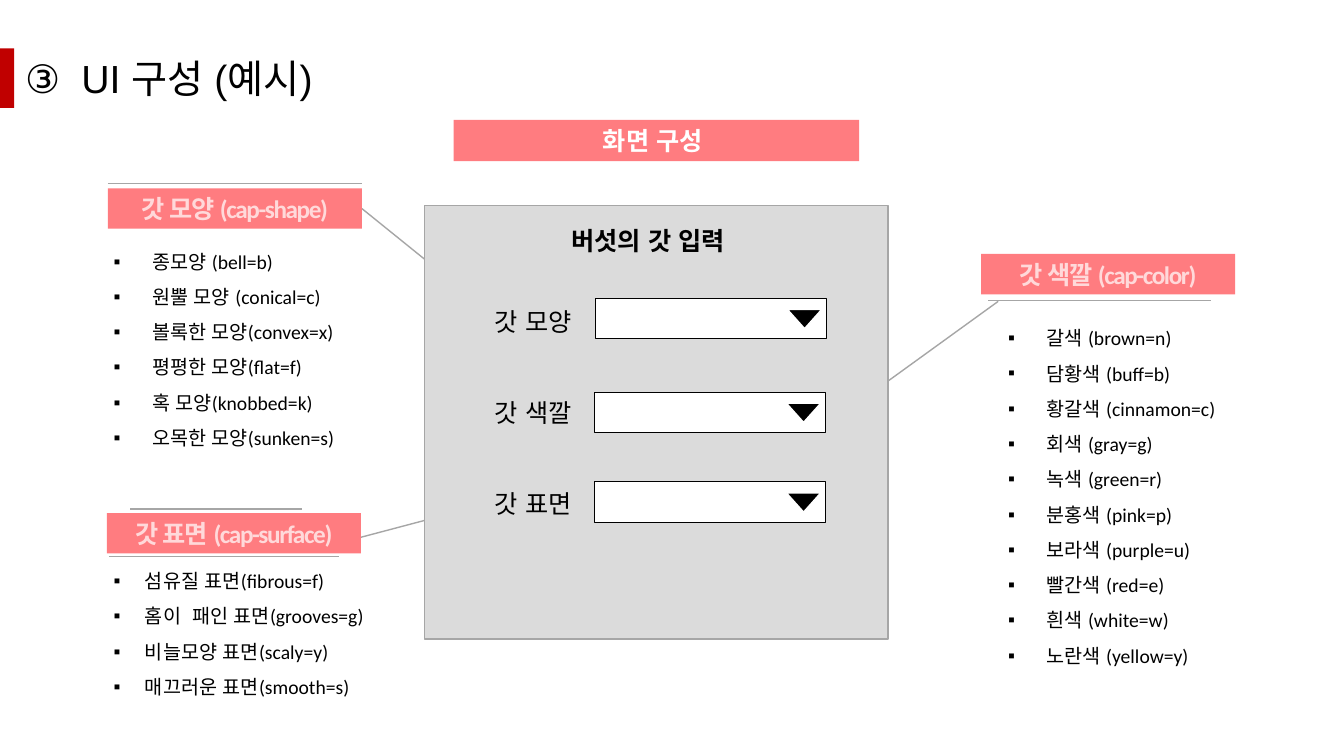
import pptx
import pptx.util
import pptx.dml.color
import pptx.enum.lang
import pptx.enum.shapes
import pptx.enum.text
from lxml import etree

Inches, Pt = pptx.util.Inches, pptx.util.Pt
RGBColor = pptx.dml.color.RGBColor
Shape = pptx.enum.shapes.MSO_SHAPE
Align = pptx.enum.text.PP_ALIGN
Anchor = pptx.enum.text.MSO_ANCHOR
KOREAN = pptx.enum.lang.MSO_LANGUAGE_ID.KOREAN

RED = RGBColor(0xC0, 0x00, 0x00)
PINK = RGBColor(0xFF, 0x7C, 0x80)
PALE_PINK = RGBColor(0xFF, 0xD9, 0xDA)
GRAY = RGBColor(0xA6, 0xA6, 0xA6)
PANEL = RGBColor(0xDB, 0xDB, 0xDB)
BLACK = RGBColor(0, 0, 0)
WHITE = RGBColor(0xFF, 0xFF, 0xFF)

# Content: heading, heading corner, list corner, indent, options
GROUPS = [
    ("갓 모양 (cap-shape)", (1.07, 1.87), (1.03, 2.31), 0.38,
     ["종모양 (bell=b) ", "원뿔 모양 (conical=c)", "볼록한 모양(convex=x)",
      "평평한 모양(flat=f)", "혹 모양(knobbed=k)", "오목한 모양(sunken=s)"]),
    ("갓 표면 (cap-surface)", (1.06, 5.09), (1.03, 5.48), 0.31,
     ["섬유질 표면(fibrous=f)", "홈이  패인 표면(grooves=g)",
      "비늘모양 표면(scaly=y)", "매끄러운 표면(smooth=s)"]),
    ("갓 색깔 (cap-color)", (9.73, 2.52), (9.9, 3.07), 0.38,
     ["갈색 (brown=n)", "담황색 (buff=b)", "황갈색 (cinnamon=c)",
      "회색 (gray=g)", "녹색 (green=r)", "분홍색 (pink=p)",
      "보라색 (purple=u)", "빨간색 (red=e)", "흰색 (white=w)",
      "노란색 (yellow=y)"]),
]
FIELDS = ["갓 모양", "갓 색깔 ", "갓 표면"]
DROPDOWNS = [(5.91, 2.96), (5.9, 3.89), (5.9, 4.78)]
LINES = [
    (8.38, 4.09, 9.9, 2.99), (9.8, 2.98, 12.01, 2.98),
    (4.79, 5.01, 3.58, 5.33), (1.07, 1.82, 3.59, 1.82),
    (3.59, 2.07, 4.94, 3.16), (1.29, 5.05, 3, 5.05),
    (1.08, 5.52, 3.36, 5.52),
]

deck = pptx.Presentation()
deck.slide_width, deck.slide_height = Inches(13.33), Inches(7.5)
page = deck.slides.add_slide(deck.slide_layouts[6])


def add_xml(parent, tag, **attributes):
    name = "{%s}%s" % (parent.nsmap["a"], tag)
    return etree.SubElement(parent, name, attributes)


def write(box, texts, size=18, font="Calibri", color=BLACK, bold=False,
          align=Align.LEFT, anchor=Anchor.TOP, line_spacing=None, gap=0,
          tracking=0, indent=0, bullet=None, number_from=None):
    frame = box.text_frame
    frame.word_wrap = True
    frame.vertical_anchor = anchor
    for index, text in enumerate(texts):
        para = frame.paragraphs[0] if index == 0 else frame.add_paragraph()
        para.alignment = align
        if line_spacing:
            para.line_spacing = line_spacing
        if gap and index:
            para.space_before = Pt(gap)
        span = para.add_run()
        span.text = text
        span.font.size, span.font.name = Pt(size), font
        span.font.bold = bold
        span.font.language_id = KOREAN
        span.font.color.rgb = color
        if tracking:
            span.font._element.set("spc", str(int(tracking * 100)))
        layout = para._p.get_or_add_pPr()
        if indent:
            layout.set("marL", str(Inches(indent)))
            layout.set("indent", str(-Inches(indent)))
        if bullet:
            add_xml(layout, "buFont", typeface="Arial")
            add_xml(layout, "buChar", char=bullet)
        if number_from:
            add_xml(layout, "buFont", typeface="Arial")
            add_xml(layout, "buAutoNum", type="circleNumDbPlain",
                    startAt=str(number_from))


def add_block(left, top, width, height, fill, line=None, weight=1,
              kind=Shape.RECTANGLE):
    block = page.shapes.add_shape(kind, Inches(left), Inches(top),
                                  Inches(width), Inches(height))
    block.shadow.inherit = False
    block.fill.solid()
    block.fill.fore_color.rgb = fill
    if line is None:
        block.line.fill.background()
    else:
        block.line.color.rgb = line
        block.line.width = Pt(weight)
    return block


def add_text(left, top, width, height, texts, **style):
    box = page.shapes.add_textbox(Inches(left), Inches(top),
                                  Inches(width), Inches(height))
    write(box, texts, **style)


# Rules and leader lines, partly covered by the blocks above them
for ends in LINES:
    rule = page.shapes.add_connector(
        pptx.enum.shapes.MSO_CONNECTOR.STRAIGHT, *map(Inches, ends))
    rule.line.color.rgb = GRAY
    rule.line.width = Pt(1)
    add_xml(rule._element.spPr, "effectLst")

# Option groups
for heading, heading_at, list_at, indent, options in GROUPS:
    banner = add_block(*heading_at, 2.52, 0.4, PINK)
    write(banner, [heading], color=PALE_PINK, bold=True, align=Align.CENTER,
          anchor=Anchor.MIDDLE, tracking=-1)
    add_text(*list_at, 3.04, 0.1 + 0.35 * len(options), options, size=14,
             align=Align.JUSTIFY, line_spacing=1.5, indent=indent, bullet="▪")

# Screen panel
screen_title = add_block(4.5, 1.19, 4.02, 0.41, PINK)
write(screen_title, ["화면 구성 "], font="Noto Sans CJK KR", color=WHITE,
      bold=True, align=Align.CENTER, anchor=Anchor.MIDDLE)
add_block(4.21, 2.04, 4.6, 4.3, PANEL, GRAY)
add_text(5.57, 2.19, 1.89, 0.4, ["버섯의 갓 입력 "], bold=True)
add_text(4.81, 2.99, 2.8, 2.22, FIELDS, gap=43.2)

# Dropdowns
for left, top in DROPDOWNS:
    add_block(left, top, 2.29, 0.4, WHITE, BLACK, 0.75)
    arrow = add_block(left + 1.9, top + 0.11, 0.34, 0.19, BLACK, WHITE,
                      kind=Shape.ISOSCELES_TRIANGLE)
    arrow.rotation = 180

# Slide title
add_block(0, 0.48, 0.14, 0.59, RED)
add_text(0.15, 0.49, 6.17, 0.57, ["UI 구성 (예시)"], size=28, font="Arial",
         indent=0.56, number_from=3)

deck.save("out.pptx")
